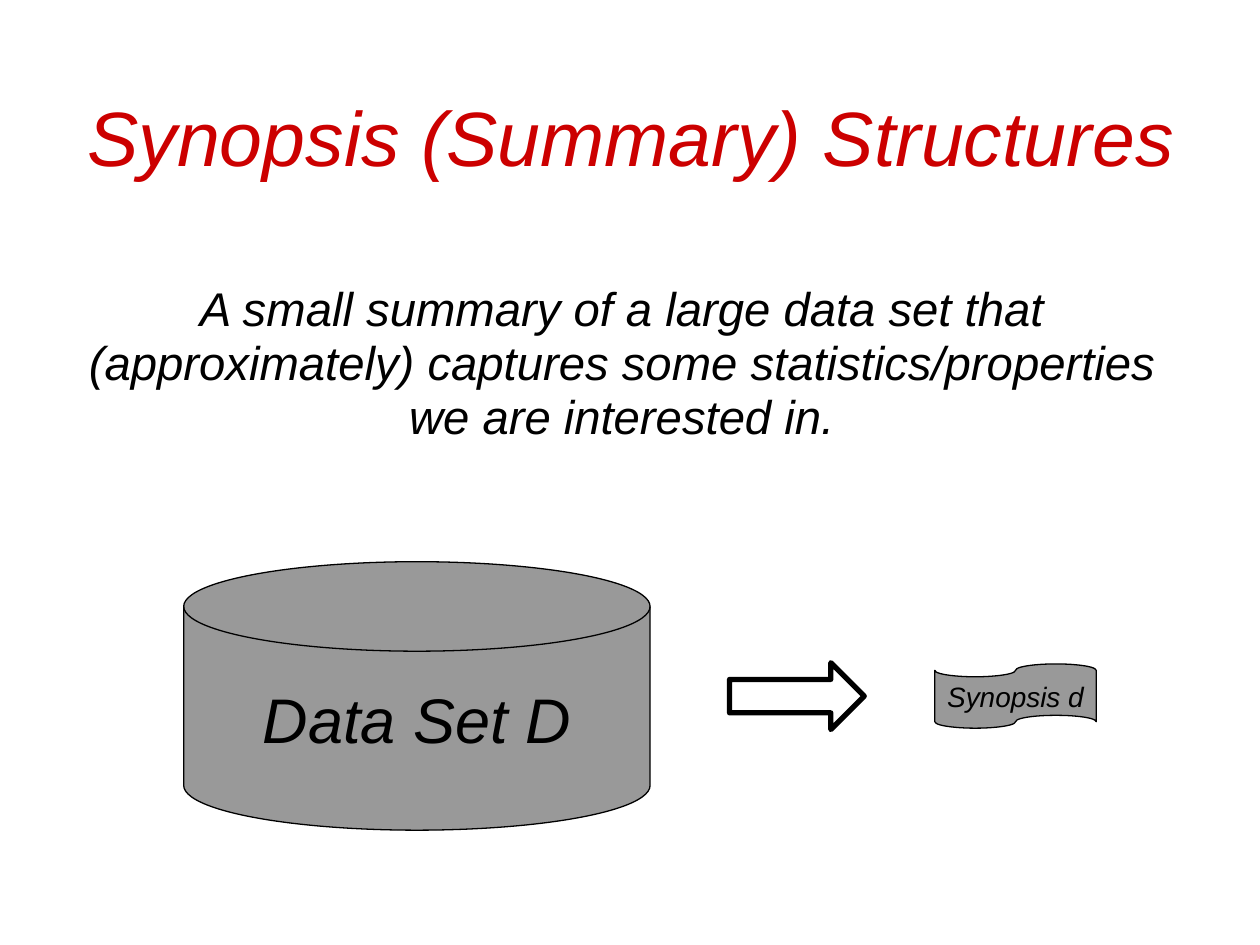
from pptx import Presentation
from pptx.dml.color import RGBColor
from pptx.enum.shapes import MSO_SHAPE
from pptx.enum.text import MSO_ANCHOR, PP_ALIGN
from pptx.util import Pt

DISK = MSO_SHAPE.FLOWCHART_MAGNETIC_DISK
TAPE = MSO_SHAPE.FLOWCHART_PUNCHED_TAPE
ARROW = MSO_SHAPE.RIGHT_ARROW
TOP, MIDDLE, BOTTOM = MSO_ANCHOR.TOP, MSO_ANCHOR.MIDDLE, MSO_ANCHOR.BOTTOM
CENTER = PP_ALIGN.CENTER

RED, BLACK, GRAY, WHITE = "CC0000", "000000", "999999", "FFFFFF"


def rgb(value):
    return RGBColor.from_string(value)


class SlideBuilder:
    """Hold the text style and the current slide, and add elements to it."""

    font = {"name": "Arial", "italic": True, "bold": False}

    def __init__(self, prs):
        self.slide = prs.slides.add_slide(prs.slide_layouts[5])

    def set_text(self, tf, text, size, color=BLACK, spacing=1.0, **frame):
        for name, value in frame.items():
            setattr(tf, name, value)
        p = tf.paragraphs[0]
        p.alignment, p.line_spacing = CENTER, spacing
        r = p.add_run()
        r.text = text
        for name, value in {**self.font, "size": Pt(size)}.items():
            setattr(r.font, name, value)
        r.font.color.rgb = rgb(color)

    def plain(self, tf, text, size, color, anchor):
        margins = dict.fromkeys(
            ("margin_left", "margin_top", "margin_right", "margin_bottom"), 0)
        self.set_text(tf, text, size, color, 0.95, word_wrap=True,
                      vertical_anchor=anchor, **margins)

    def title(self, text, x, y, w, h, size, color):
        sp = self.slide.shapes.title
        sp.left, sp.top, sp.width, sp.height = Pt(x), Pt(y), Pt(w), Pt(h)
        self.plain(sp.text_frame, text, size, color, BOTTOM)

    def text(self, text, x, y, w, h, size, color=BLACK):
        sp = self.slide.shapes.add_textbox(Pt(x), Pt(y), Pt(w), Pt(h))
        self.plain(sp.text_frame, text, size, color, TOP)

    def shape(self, kind, x, y, w, h, fill, line=0.75, text="", size=16):
        sp = self.slide.shapes.add_shape(kind, Pt(x), Pt(y), Pt(w), Pt(h))
        sp.shadow.inherit = False
        sp.fill.solid()
        sp.fill.fore_color.rgb = rgb(fill)
        sp.line.color.rgb = rgb(BLACK)
        sp.line.width = Pt(line)
        if text:
            self.set_text(sp.text_frame, text, size, word_wrap=False,
                          vertical_anchor=MIDDLE)


def main():
    prs = Presentation()
    prs.slide_width, prs.slide_height = Pt(720), Pt(540)
    s = SlideBuilder(prs)
    s.title("Synopsis (Summary) Structures", 49, 54.7, 623.5, 50.4, 44, RED)
    s.text("A small summary of a large data set that (approximately) captures "
           "some statistics/properties we are interested in.",
           49.7, 162, 611.3, 92.2, 27)
    s.shape(DISK, 105, 321, 266.5, 153.4, GRAY, text="Data Set D", size=36)
    s.shape(TAPE, 534.2, 379.4, 92.2, 36.7, GRAY, text="Synopsis d")
    s.shape(ARROW, 416.9, 378.7, 77, 38.2, WHITE, line=3)
    prs.save("out.pptx")


if __name__ == "__main__":
    main()
